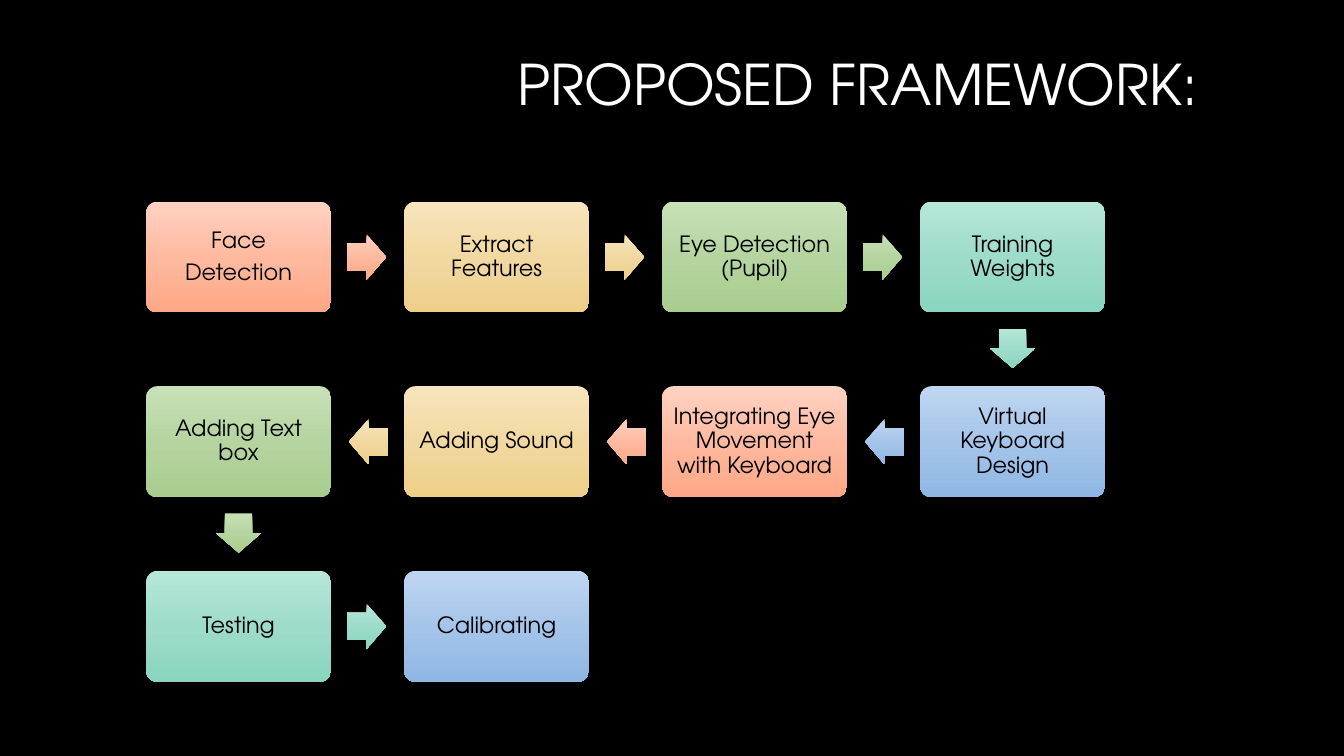
from pptx import Presentation
from pptx.dml.color import RGBColor as Rgb
from pptx.enum.shapes import MSO_SHAPE as Kind
from pptx.enum.text import MSO_ANCHOR as Anchor, PP_ALIGN as Align
from pptx.oxml import parse_xml
from pptx.oxml.ns import nsdecls
from pptx.util import Pt

TITLE = "PROPOSED FRAMEWORK:"
STEPS = [
    ("Face\nDetection", "coral"),
    ("Extract Features", "gold"),
    ("Eye Detection (Pupil)", "green"),
    ("Training Weights", "teal"),
    ("Virtual Keyboard\vDesign", "blue"),
    ("Integrating Eye Movement with Keyboard", "coral"),
    ("Adding Sound", "gold"),
    ("Adding Text box", "green"),
    ("Testing", "teal"),
    ("Calibrating", "blue"),
]
HEX = {"back": "000000", "title": "FFFFFF", "text": "000000"}
FADES = {
    "coral": ("FFD2C2", "FEB99F", "FEA785"),
    "gold": ("F8E5BD", "F1D8A0", "EECF89"),
    "green": ("C8E1B7", "B5D49F", "A8CD8D"),
    "teal": ("B6E7D9", "9DDBCA", "89D5C0"),
    "blue": ("BFD6F2", "A4C4E9", "8FB7E4"),
}
FACE = "TeX Gyre Adventor"
COLS = 4
LEFT, TOP = 104.4, 144
BOX_W, BOX_H = 132, 79.2
STEP_X, STEP_Y = 184.3, 131.9
ARROW_W, ARROW_H = 28, 32.4
NUDGE = 0.7


def style(frame, inset, align, size, tint):
    margins = ("margin_left", "margin_right", "margin_top", "margin_bottom")
    form = {"word_wrap": True, "vertical_anchor": Anchor.MIDDLE}
    form.update(zip(margins, map(Pt, inset)))
    for key, val in form.items():
        setattr(frame, key, val)
    for para in frame.paragraphs:
        for key, val in {"alignment": align, "line_spacing": 0.9}.items():
            setattr(para, key, val)
        for run in para.runs:
            for key, val in {"name": FACE, "size": Pt(size)}.items():
                setattr(run.font, key, val)
            run.font.color.rgb = Rgb.from_string(HEX[tint])


def add_part(slide, kind, mid, size, fade, adjust):
    (x, y), (w, h) = mid, size
    part = slide.shapes.add_shape(kind, Pt(x - w / 2), Pt(y - h / 2), Pt(w), Pt(h))
    for i, val in enumerate(adjust):
        part.adjustments[i] = val
    stops = "".join(
        f'<a:gs pos="{pos}"><a:srgbClr val="{tint}"/></a:gs>'
        for pos, tint in zip((0, 52000, 100000), FADES[fade])
    )
    part.element.spPr.insert(2, parse_xml(
        f'<a:gradFill {nsdecls("a")} rotWithShape="0"><a:gsLst>{stops}</a:gsLst>'
        '<a:lin ang="5400000" scaled="0"/></a:gradFill>'
    ))
    part.line.fill.background()
    part.shadow.inherit = False
    return part


def place(i):
    row, col = divmod(i, COLS)
    col = COLS - 1 - col if row % 2 else col
    return LEFT + BOX_W / 2 + col * STEP_X, TOP + BOX_H / 2 + row * STEP_Y


def add_step(slide, mid, text, fade):
    box = add_part(slide, Kind.ROUNDED_RECTANGLE, mid, (BOX_W, BOX_H), fade, [0.1])
    frame = box.text_frame
    frame.text = text
    style(frame, (4.8,) * 4, Align.CENTER, 16, "text")
    for para in frame.paragraphs:
        para._p.get_or_add_pPr().append(parse_xml(
            f'<a:spcAft {nsdecls("a")}><a:spcPct val="35000"/></a:spcAft>'
        ))


def add_arrow(slide, start, end, fade):
    dx, dy = ((b > a) - (b < a) for a, b in zip(start, end))
    mid = ((start[0] + end[0]) / 2 - NUDGE * dx, (start[1] + end[1]) / 2 - NUDGE * dy)
    arrow = add_part(slide, Kind.RIGHT_ARROW, mid, (ARROW_W, ARROW_H), fade, [0.6, 0.5])
    arrow.rotation = 90 if dy else 180 if dx < 0 else 0


def main():
    """Build the framework slide as a snaking chain of steps."""
    deck = Presentation()
    deck.slide_width, deck.slide_height = Pt(960), Pt(540)
    slide = deck.slides.add_slide(deck.slide_layouts[6])
    slide.background.fill.solid()
    slide.background.fill.fore_color.rgb = Rgb.from_string(HEX["back"])

    head = slide.shapes.add_textbox(Pt(99.4), Pt(10), Pt(763.2), Pt(104.4))
    head.text_frame.text = TITLE
    style(head.text_frame, (7.2, 7.2, 3.6, 3.6), Align.RIGHT, 40, "title")

    for i, (text, fade) in enumerate(STEPS):
        add_step(slide, place(i), text, fade)
        if i + 1 < len(STEPS):
            add_arrow(slide, place(i), place(i + 1), fade)
    deck.save("out.pptx")


if __name__ == "__main__":
    main()
